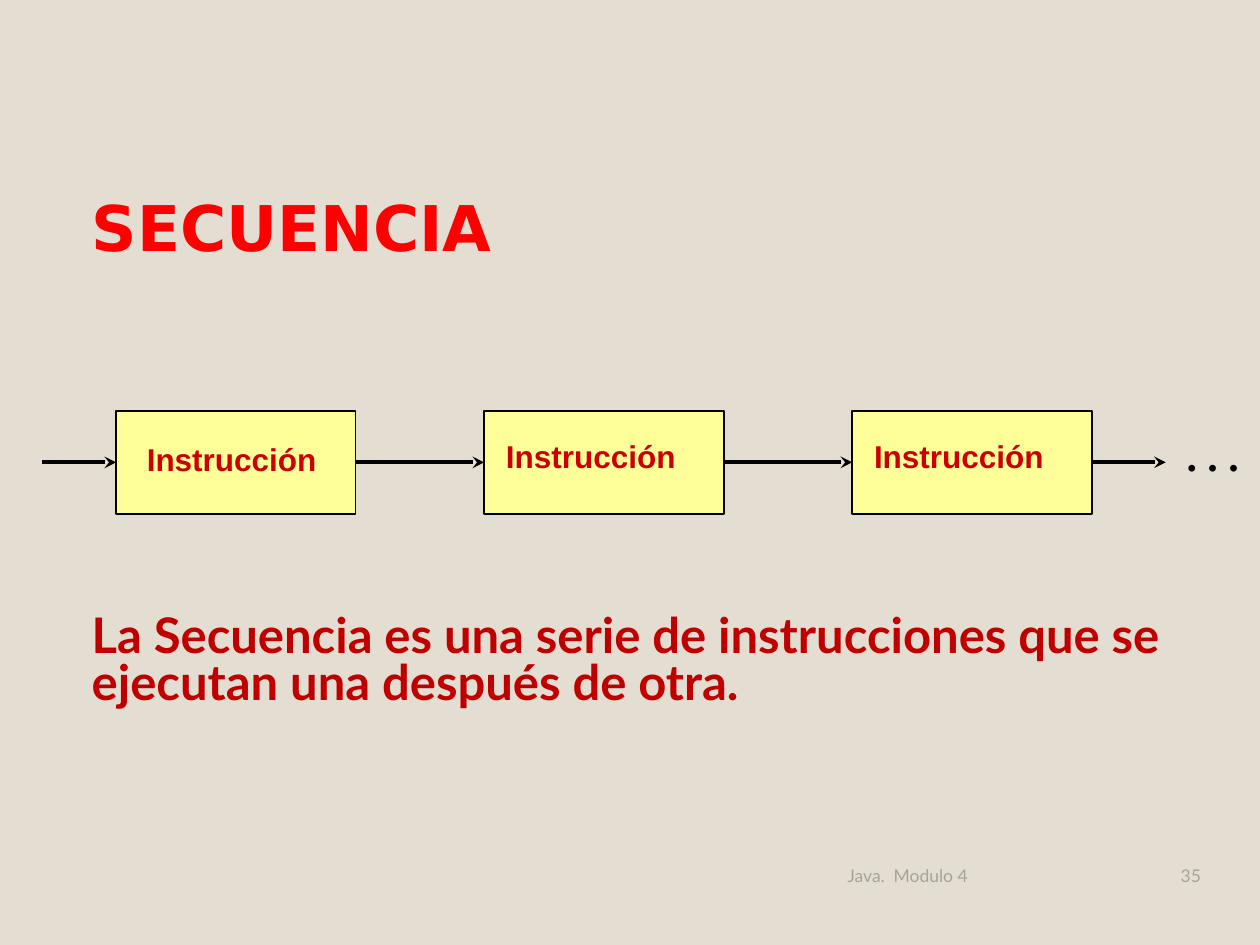
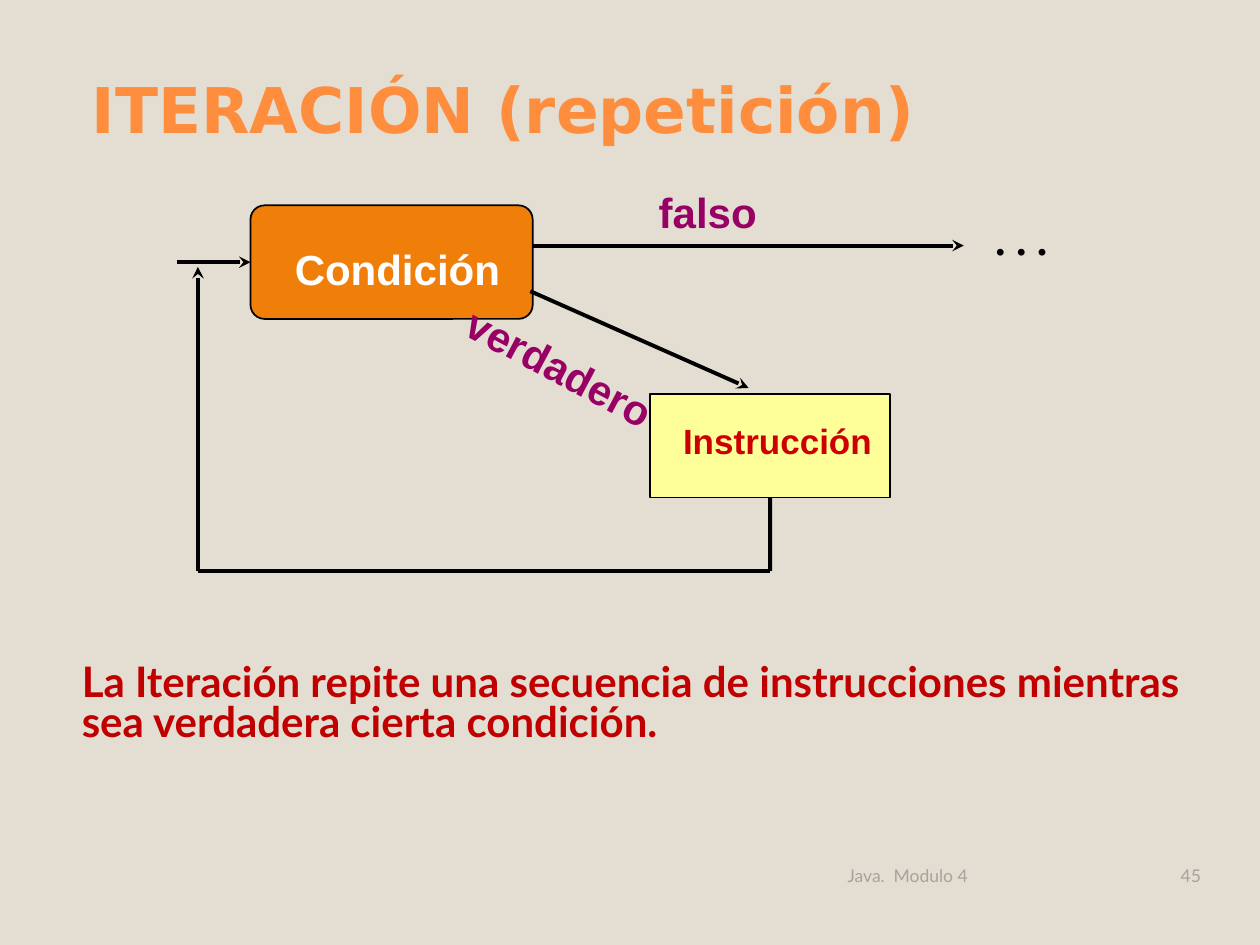
from pptx import Presentation
from pptx.dml.color import RGBColor
from pptx.enum.shapes import MSO_CONNECTOR as Link, MSO_SHAPE as Shape
from pptx.enum.text import MSO_ANCHOR as Anchor, PP_ALIGN as Align
from pptx.oxml.ns import qn
from pptx.util import Cm, Pt
from lxml.etree import SubElement

COLORS = {
    "background": "E3DED1",
    "red": "FF0000",
    "peach": "FF8D3E",
    "dark red": "C00000",
    "label red": "CC0000",
    "purple": "990066",
    "yellow": "FFFF99",
    "orange": "F07F09",
    "gray": "A7A399",
    "white": "FFFFFF",
    "black": "000000",
}
TOP, LEFT, BOTTOM, RIGHT = range(4)
STEP_WIDTH, STEP_HEIGHT = 4.83, 2.08


def color(name):
    return RGBColor.from_string(COLORS[name])


def write(frame, text, *, font="Arial", size=24, ink="black", bold=True,
          align=Align.LEFT, anchor=Anchor.TOP, spacing=1.0, wrap=True,
          inset=(0.25, 0.13)):
    frame.word_wrap = wrap
    frame.vertical_anchor = anchor
    frame.margin_left, frame.margin_top = (Cm(gap) for gap in inset)
    frame.margin_right, frame.margin_bottom = Cm(0.25), Cm(0.13)
    para = frame.paragraphs[0]
    para.alignment = align
    para.line_spacing = spacing
    span = para.add_run()
    span.text = text
    span.font.name = font
    span.font.size = Pt(size)
    span.font.bold = bold
    span.font.color.rgb = color(ink)


class FlowDeck:
    def __init__(self):
        self.deck = Presentation()
        self.deck.slide_width, self.deck.slide_height = Cm(25.4), Cm(19.05)
        fill = self.deck.slide_master.background.fill
        fill.solid()
        fill.fore_color.rgb = color("background")
        self.page = None

    def add_page(self, title, number, *, top, height, ink):
        """Start a slide with its title, footer and page number."""
        self.page = self.deck.slides.add_slide(self.deck.slide_layouts[5])
        box = self.page.shapes.title
        box.left, box.top, box.width, box.height = map(
            Cm, (1.6, top, 22.73, height))
        write(box.text_frame, title, font="DejaVu Sans", size=36, ink=ink,
              anchor=Anchor.BOTTOM)
        small = dict(font="Lato", size=10, ink="gray", bold=False,
                     anchor=Anchor.BOTTOM)
        self.text("Java.  Modulo 4", 16.84, 16.97, 6.35, 1.02, **small)
        self.text(str(number), 23.19, 16.97, 1.27, 1.02, align=Align.RIGHT,
                  **small)

    def text(self, text, left, top, width, height=1.27, *, rotation=0, **style):
        box = self.page.shapes.add_textbox(
            *map(Cm, (left, top, width, height)))
        box.rotation = rotation
        write(box.text_frame, text, **style)

    def definition(self, text, left, top, width, height, size):
        self.text(text, left, top, width, height, font="Lato", size=size,
                  ink="dark red", spacing=0.8)

    def ellipsis(self, left, top):
        self.text(". . .", left, top, 1.57, font="Times New Roman", wrap=False)

    def box(self, text, left, top, width, height, *, fill, kind=Shape.RECTANGLE,
            **style):
        box = self.page.shapes.add_shape(
            kind, *map(Cm, (left, top, width, height)))
        box.shadow.inherit = False
        box.fill.solid()
        box.fill.fore_color.rgb = color(fill)
        box.line.color.rgb = color("black")
        box.line.width = Pt(1)
        write(box.text_frame, text, wrap=False, **style)
        return box

    def step(self, left, top, *, size, inset):
        return self.box("Instrucción", left, top, STEP_WIDTH, STEP_HEIGHT,
                        fill="yellow", size=size, ink="label red", inset=inset)

    def line(self, start, end, *, source=None, target=None, arrow=True):
        """Draw a line; source and target are (box, side) pairs to join."""
        line = self.page.shapes.add_connector(
            Link.STRAIGHT, *map(Cm, (*start, *end)))
        line.line.color.rgb = color("black")
        line.line.width = Pt(2.25)
        if arrow:
            SubElement(line.line._get_or_add_ln(), qn("a:tailEnd"),
                       type="stealth")
        SubElement(line._element.spPr, qn("a:effectLst"))
        if source:
            line.begin_connect(*source)
        if target:
            line.end_connect(*target)


def add_sequence(flow):
    flow.add_page("SECUENCIA", 35, top=3.38, height=2.08, ink="red")
    first_left, pitch, top = 2.34, 7.42, 8.28
    middle = top + STEP_HEIGHT / 2
    insets = [(0.62, 0.6), (0.44, 0.53), (0.44, 0.53)]
    source, start = None, (0.84, middle)
    for index, inset in enumerate(insets):
        left = first_left + index * pitch
        step = flow.step(left, top, size=18, inset=inset)
        flow.line(start, (left, middle), source=source, target=(step, LEFT))
        source, start = (step, RIGHT), (left + STEP_WIDTH, middle)
    flow.line(start, (23.5, middle), source=source)
    flow.ellipsis(23.67, 8.53)
    flow.definition("La Secuencia es una serie de instrucciones que se "
                    "ejecutan una después de otra.", 1.6, 12.29, 22.23, 2.16, 28)


def add_iteration(flow):
    flow.add_page("ITERACIÓN (repetición)", 45, top=1.19, height=1.88,
                  ink="peach")
    left, top, width, height = 5.05, 4.14, 5.69, 2.29
    condition = flow.box("Condición", left, top, width, height, fill="orange",
                         kind=Shape.ROUNDED_RECTANGLE, ink="white",
                         inset=(0.81, 0.69))
    condition.adjustments[0] = 0.125
    step_left, step_top = 13.11, 7.95
    step = flow.step(step_left, step_top, size=20, inset=(0.66, 0.51))

    entry = top + height / 2
    flow.line((3.56, entry), (left, entry), target=(condition, LEFT))
    flow.line((left + width, 4.95), (19.43, 4.95))
    flow.line((10.69, 5.87), (15.09, 7.82))

    step_middle, return_left, return_bottom = step_left + STEP_WIDTH / 2, 3.99, 11.51
    corners = [(step_middle, return_bottom), (return_left, return_bottom)]
    flow.line((step_middle, step_top + STEP_HEIGHT), corners[0],
              source=(step, BOTTOM), arrow=False)
    flow.line(*corners, arrow=False)
    flow.line(corners[1], (return_left, 5.38))

    flow.ellipsis(19.81, 4.17)
    flow.text("falso", 13.03, 3.63, 2.49, ink="purple", wrap=False)
    flow.text("verdadero", 8.99, 6.76, 4.6, rotation=28, ink="purple",
              wrap=False)
    flow.definition("La Iteración repite una secuencia de instrucciones "
                    "mientras sea verdadera cierta condición.",
                    1.4, 13.28, 23.01, 1.88, 24)


def main():
    flow = FlowDeck()
    add_sequence(flow)
    add_iteration(flow)
    flow.deck.save("out.pptx")


if __name__ == "__main__":
    main()
